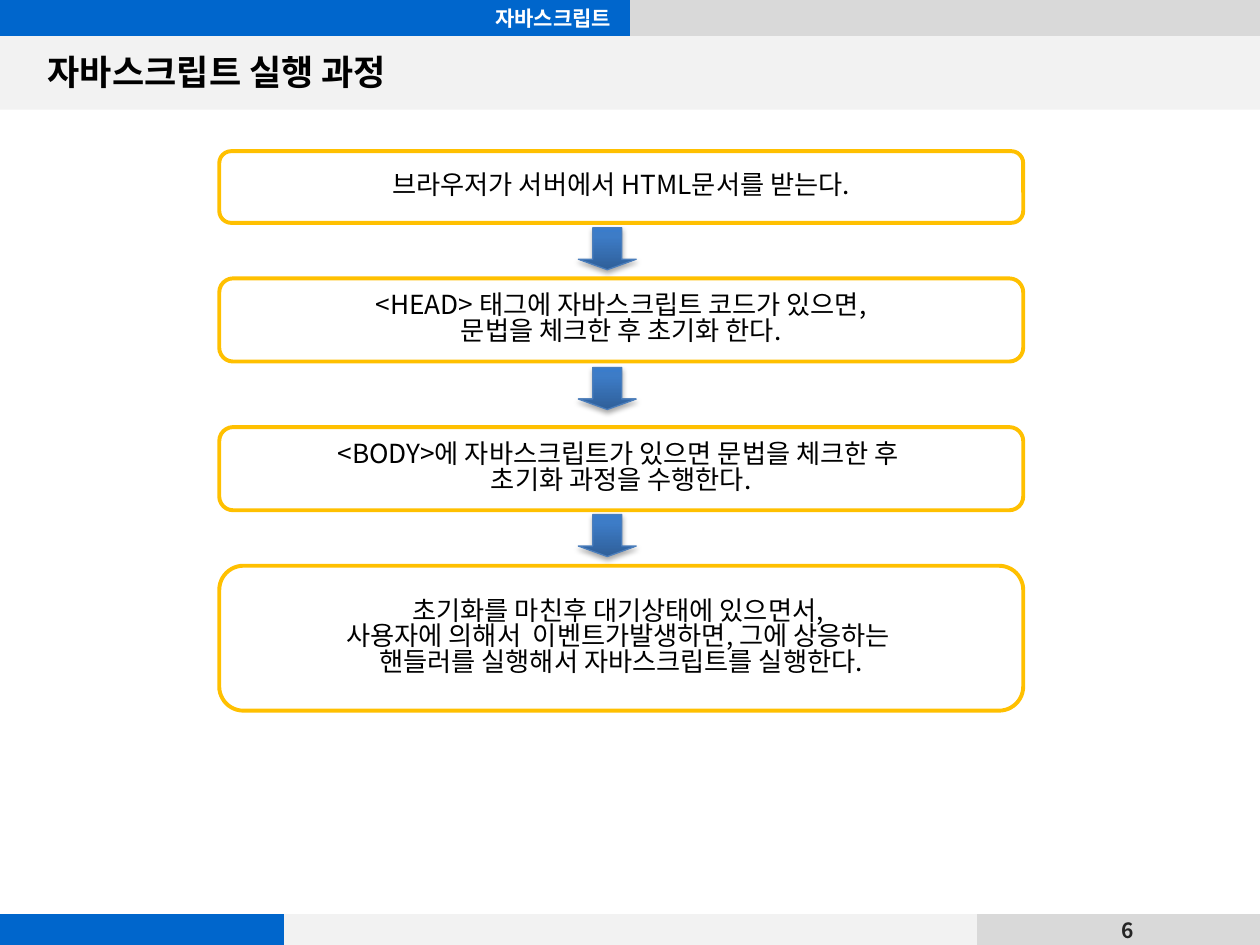
from copy import deepcopy

from lxml import etree
from pptx import Presentation
from pptx.dml.color import RGBColor
from pptx.enum import shapes, text
from pptx.oxml.ns import qn
from pptx.util import Pt

FONT = "Noto Sans CJK KR"
BLUE = RGBColor(0x00, 0x66, 0xCC)
PALE = RGBColor(0xF2, 0xF2, 0xF2)
GREY = RGBColor(0xD9, 0xD9, 0xD9)
DARK = RGBColor(0x26, 0x26, 0x26)
BLACK = RGBColor(0x00, 0x00, 0x00)
WHITE = RGBColor(0xFF, 0xFF, 0xFF)
AMBER = RGBColor(0xFF, 0xC0, 0x00)
ARROW_EDGE = RGBColor(0x4B, 0x7E, 0xBC)
ARROW_STOPS = [(0, RGBColor(0x2F, 0x5F, 0x99)),
               (0.8, RGBColor(0x3D, 0x7C, 0xC7)),
               (1, RGBColor(0x3A, 0x7C, 0xCB))]
NO_TABLE_STYLE = "{2D5ABB26-0587-4C30-8999-92F81FD0307C}"

prs = Presentation()
prs.slide_width, prs.slide_height = Pt(720), Pt(540)
slide = prs.slides.add_slide(prs.slide_layouts[6])


def write(shape, lines, size, color, align, bold=False, wrap=True, spacing=None):
    frame = shape.text_frame
    frame.text = "\n".join(lines)
    frame.word_wrap = wrap
    frame.vertical_anchor = text.MSO_ANCHOR.MIDDLE
    for paragraph in frame.paragraphs:
        paragraph.alignment = align
        paragraph.line_spacing = spacing
        for run in paragraph.runs:
            run.font.name, run.font.size = FONT, Pt(size)
            run.font.bold, run.font.color.rgb = bold, color
            etree.SubElement(run.font._element, qn("a:ea"), typeface=FONT)


def add_band(top, height, columns):
    width = sum(column_width for column_width, _ in columns)
    frame = slide.shapes.add_table(1, len(columns), 0, Pt(top), Pt(width), Pt(height))
    band = frame.table
    band._tbl.tblPr.find(qn("a:tableStyleId")).text = NO_TABLE_STYLE
    for i, (column_width, color) in enumerate(columns):
        band.columns[i].width = Pt(column_width)
        cell = band.cell(0, i)
        cell.fill.solid()
        cell.fill.fore_color.rgb = color
        cell.margin_top = cell.margin_bottom = 0
        # Small type keeps the empty row at its set height
        etree.SubElement(cell.text_frame.paragraphs[0]._p, qn("a:endParaRPr"), sz="800")


# Title strip, header and footer bands
title_strip = slide.shapes.add_shape(
    shapes.MSO_SHAPE.RECTANGLE, 0, Pt(20.2), Pt(720), Pt(42.5))
title_strip.shadow.inherit = False
title_strip.fill.solid()
title_strip.fill.fore_color.rgb = PALE
title_strip.line.fill.background()

add_band(0, 20.4, [(360, BLUE), (360, GREY)])
add_band(522, 19.4, [(162, BLUE), (396, PALE), (2, GREY), (96.5, GREY), (65.5, GREY)])

# Page number and title
page_number = slide.shapes.add_textbox(Pt(610), Pt(522), Pt(69), Pt(18.7))
write(page_number, ["6"], 12, DARK, text.PP_ALIGN.CENTER, bold=True, wrap=False)
page_number.text_frame.margin_left = page_number.text_frame.margin_right = 0

title = slide.shapes.add_textbox(Pt(20.2), Pt(20.9), Pt(680.4), Pt(40.3))
write(title, ["자바스크립트 실행 과정"], 20, BLACK, text.PP_ALIGN.LEFT, bold=True)

# Steps of the process: top, height, lines
steps = [
    (86.4, 41, ["브라우저가 서버에서 HTML문서를 받는다."]),
    (159.1, 47.5, ["<HEAD> 태그에 자바스크립트 코드가 있으면,",
                   "문법을 체크한 후 초기화 한다."]),
    (244.1, 47.5, ["<BODY>에 자바스크립트가 있으면 문법을 체크한 후 ",
                   "초기화 과정을 수행한다."]),
    (323.3, 82.8, ["초기화를 마친후 대기상태에 있으면서, ",
                   "사용자에 의해서  이벤트가발생하면, 그에 상응하는 ",
                   "핸들러를 실행해서 자바스크립트를 실행한다."]),
]
for top, height, lines in steps:
    step = slide.shapes.add_shape(
        shapes.MSO_SHAPE.ROUNDED_RECTANGLE, Pt(125.3), Pt(top), Pt(459.4), Pt(height))
    step.adjustments[0] = 0.167
    step.shadow.inherit = False
    step.fill.solid()
    step.fill.fore_color.rgb = WHITE
    step.line.color.rgb = AMBER
    step.line.width = Pt(2.25)
    write(step, lines, 15, BLACK, text.PP_ALIGN.CENTER, wrap=False, spacing=0.82)

# Arrows between the steps
for top in (130.1, 210, 294):
    arrow = slide.shapes.add_shape(
        shapes.MSO_SHAPE.DOWN_ARROW, Pt(330.5), Pt(top), Pt(33.1), Pt(24))
    arrow.adjustments[0], arrow.adjustments[1] = 0.5, 0.25
    arrow.line.color.rgb = ARROW_EDGE
    arrow.line.width = Pt(0.75)

    arrow.fill.gradient()
    arrow.fill.gradient_angle = 90
    stop_list = arrow._element.spPr.find(qn("a:gradFill")).find(qn("a:gsLst"))
    stop_list.append(deepcopy(stop_list[-1]))
    for stop, (position, color) in zip(arrow.fill.gradient_stops, ARROW_STOPS):
        stop.position, stop.color.rgb = position, color

    arrow.shadow.inherit = False
    effects = arrow._element.spPr.find(qn("a:effectLst"))
    shadow = etree.SubElement(
        effects, qn("a:outerShdw"), blurRad=str(Pt(3.1)), dist=str(Pt(1.8)),
        dir="5400000", rotWithShape="0")
    shade = etree.SubElement(shadow, qn("a:srgbClr"), val="000000")
    etree.SubElement(shade, qn("a:alpha"), val="35000")

# Chapter name in the header
chapter = slide.shapes.add_textbox(0, 0, Pt(356.4), Pt(20.2))
write(chapter, ["자바스크립트"], 12, WHITE, text.PP_ALIGN.RIGHT, bold=True)

prs.save("out.pptx")
